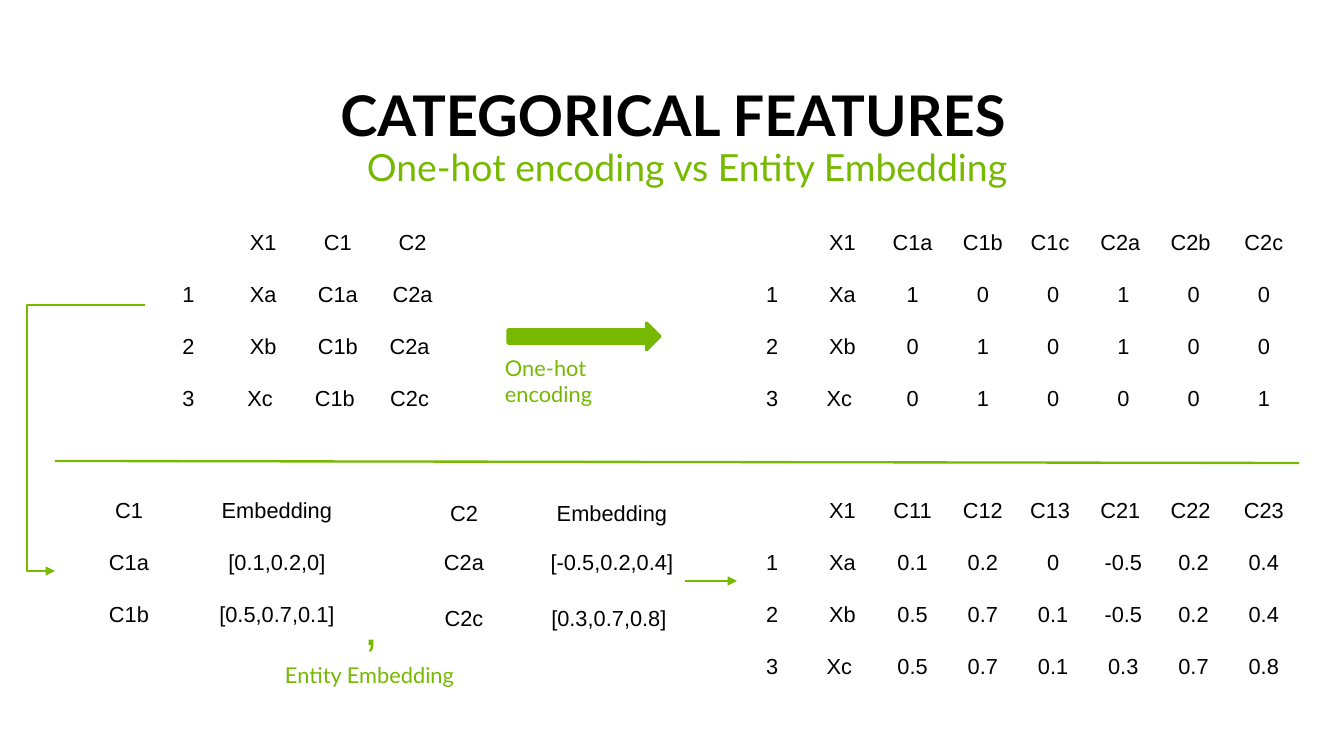
from lxml import etree
from pptx import Presentation
from pptx.dml.color import RGBColor
from pptx.enum.shapes import MSO_CONNECTOR, MSO_SHAPE
from pptx.enum.text import MSO_ANCHOR, PP_ALIGN
from pptx.oxml.ns import qn
from pptx.util import Pt

LEFT, CENTER = PP_ALIGN.LEFT, PP_ALIGN.CENTER
TOP, BOTTOM = MSO_ANCHOR.TOP, MSO_ANCHOR.BOTTOM
COLORS = {"green": "76B900", "black": "000000", "white": "FFFFFF"}
EMU_PER_PX = 914400 / 112

# Tables: left, top, width, row heights, cell texts
TABLES = [
    (151, 225, 299, [52] * 4, [
        ["", "X1", "C1", "C2"],
        ["1", "Xa", "C1a", "C2a"],
        ["2", "Xb", "C1b", "C2a "],
        ["3", "Xc ", "C1b ", "C2c "],
    ]),
    (737, 225, 562, [52] * 4, [
        ["", "X1", "C1a", "C1b", "C1c ", "C2a ", "C2b ", "C2c"],
        ["1", "Xa", "1", "0", "0", "1", "0", "0"],
        ["2", "Xb", "0", "1", "0", "1", "0", "0"],
        ["3", "Xc ", "0", "1", "0", "0", "0", "1"],
    ]),
    (55, 493, 296, [52] * 3, [
        ["C1", "Embedding"],
        ["C1a", "[0.1,0.2,0]"],
        ["C1b", "[0.5,0.7,0.1]"],
    ]),
    (390, 496, 296, [49, 56, 44], [
        ["C2", "Embedding"],
        ["C2a", "[-0.5,0.2,0.4]"],
        ["C2c", "[0.3,0.7,0.8] "],
    ]),
    (737, 493, 562, [52] * 4, [
        ["", "X1", "C11", "C12", "C13 ", "C21 ", "C22 ", "C23"],
        ["1", "Xa", "0.1", "0.2", "0", "-0.5", "0.2", "0.4"],
        ["2", "Xb", "0.5", "0.7", "0.1", "-0.5", "0.2", "0.4"],
        ["3", "Xc ", "0.5", "0.7", "0.1", "0.3", "0.7", "0.8"],
    ]),
]

# Text boxes: box, text, size, color, bold, alignment, anchor, line spacing, left inset
TEXTS = [
    ((62, 81, 1222, 73), "CATEGORICAL FEATURES", 36, "black", True, CENTER, BOTTOM, 0.9, 11),
    ((62, 144, 1222, 64), "One-hot encoding vs Entity Embedding", 24, "green", False,
     CENTER, TOP, 0.9, 39),
    ((494, 349, 184, 38), "One-hot encoding", 14, "green", False, LEFT, TOP, 1.0, 11),
    ((274, 656, 196, 38), "Entity Embedding", 14, "green", False, LEFT, TOP, 1.0, 11),
]

# Straight lines: start x, start y, end x, end y, arrowhead
LINES = [
    (55, 461, 1299, 463, False),
    (685, 581, 737, 581, True),
]
EMBEDDING_ROUTE = [(145, 305), (27, 305), (27, 571), (55, 571)]
ONE_HOT_ARROW = (508, 323, 152, 27)
COMMA_BOX = (353, 590, 24, 72)


def px(length):
    return round(length * EMU_PER_PX)


def color(name):
    return RGBColor.from_string(COLORS[name])


def write(paragraph, text, size, color_name, font="Arial", bold=False, align=CENTER):
    paragraph.alignment = align
    run = paragraph.add_run()
    run.text = text
    run.font.name, run.font.size, run.font.bold = font, Pt(size), bold
    run.font.color.rgb = color(color_name)


def style_line(line, width, color_name="green", arrow=False):
    line.color.rgb = color(color_name)
    line.width = Pt(width)
    if arrow:
        etree.SubElement(line._get_or_add_ln(), qn("a:tailEnd"), type="triangle")


def add_grid(slide, left, top, width, heights, rows):
    columns = len(rows[0])
    frame = slide.shapes.add_table(len(rows), columns, px(left), px(top),
                                   px(width), px(sum(heights)))
    table = frame.table
    table.first_row = table.horz_banding = False
    for column in table.columns:
        column.width = px(width / columns)
    for row, height, texts in zip(table.rows, heights, rows):
        row.height = px(height)
        for cell, text in zip(row.cells, texts):
            cell.fill.background()
            if text:
                write(cell.text_frame.paragraphs[0], text, 14, "black")


def add_text(slide, box, text, size, color_name, bold, align, anchor, spacing, inset):
    frame = slide.shapes.add_textbox(*map(px, box)).text_frame
    frame.word_wrap = True
    frame.vertical_anchor = anchor
    frame.margin_left = px(inset)
    paragraph = frame.paragraphs[0]
    paragraph.line_spacing = spacing
    write(paragraph, text, size, color_name, "Lato", bold, align)


def add_line(slide, x1, y1, x2, y2, arrow):
    connector = slide.shapes.add_connector(MSO_CONNECTOR.STRAIGHT, *map(px, (x1, y1, x2, y2)))
    style_line(connector.line, 1.5, arrow=arrow)
    etree.SubElement(connector._element.spPr, qn("a:effectLst"))


def main():
    presentation = Presentation()
    presentation.slide_width, presentation.slide_height = px(1344), px(756)
    slide = presentation.slides.add_slide(presentation.slide_layouts[6])

    # Headings, labels and tables
    for text in TEXTS:
        add_text(slide, *text)
    for grid in TABLES:
        add_grid(slide, *grid)

    # Divider and arrow to the embedded table
    for line in LINES:
        add_line(slide, *line)

    # Bent arrow from the source table to the embeddings
    builder = slide.shapes.build_freeform(*EMBEDDING_ROUTE[0], scale=EMU_PER_PX)
    builder.add_line_segments(EMBEDDING_ROUTE[1:], close=False)
    route = builder.convert_to_shape()
    route.shadow.inherit = False
    route.fill.background()
    style_line(route.line, 1.5, arrow=True)

    # Block arrow for one-hot encoding
    block_arrow = slide.shapes.add_shape(MSO_SHAPE.RIGHT_ARROW, *map(px, ONE_HOT_ARROW))
    block_arrow.shadow.inherit = False
    block_arrow.fill.solid()
    block_arrow.fill.fore_color.rgb = color("green")
    style_line(block_arrow.line, 2)

    # Comma between the two embedding tables
    comma = slide.shapes.add_shape(MSO_SHAPE.RECTANGLE, *map(px, COMMA_BOX))
    comma.shadow.inherit = False
    comma.fill.background()
    style_line(comma.line, 0.75, "white")
    comma.text_frame.vertical_anchor = TOP
    write(comma.text_frame.paragraphs[0], ",", 32, "green", align=LEFT)

    presentation.save("out.pptx")


if __name__ == "__main__":
    main()
